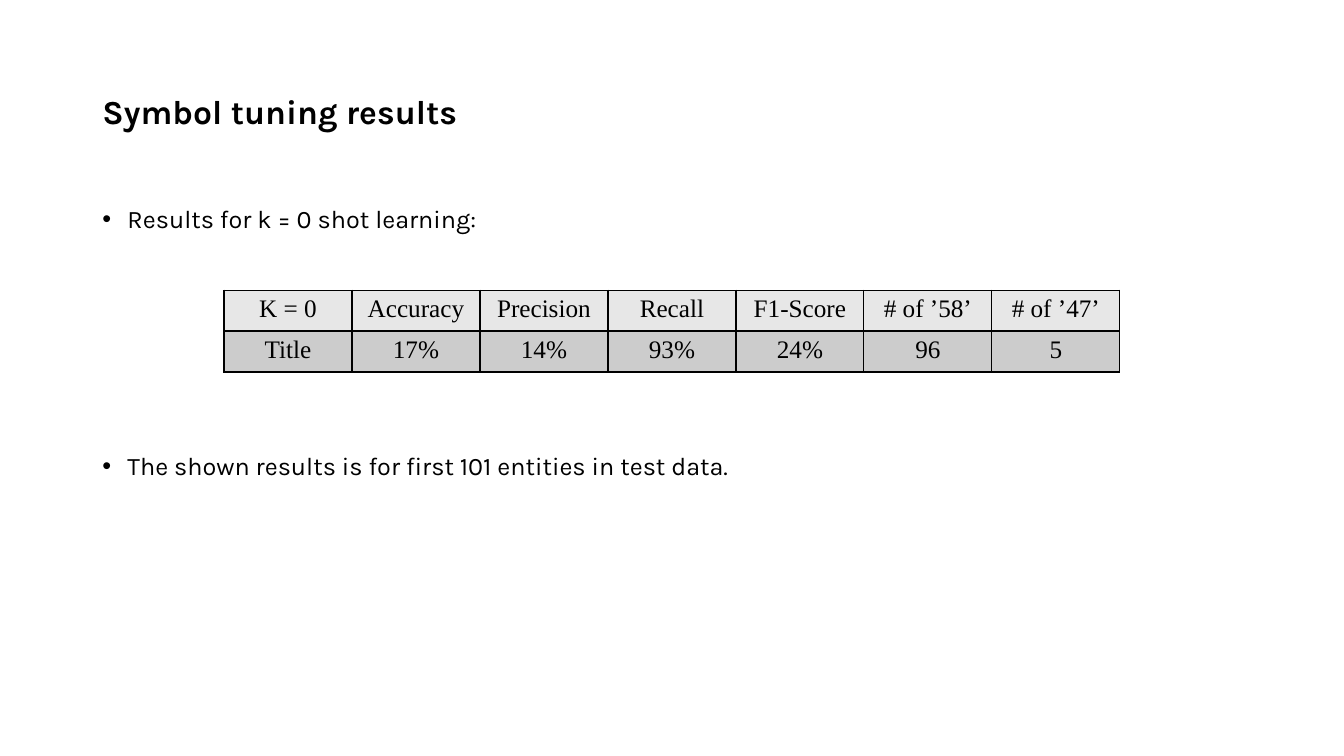
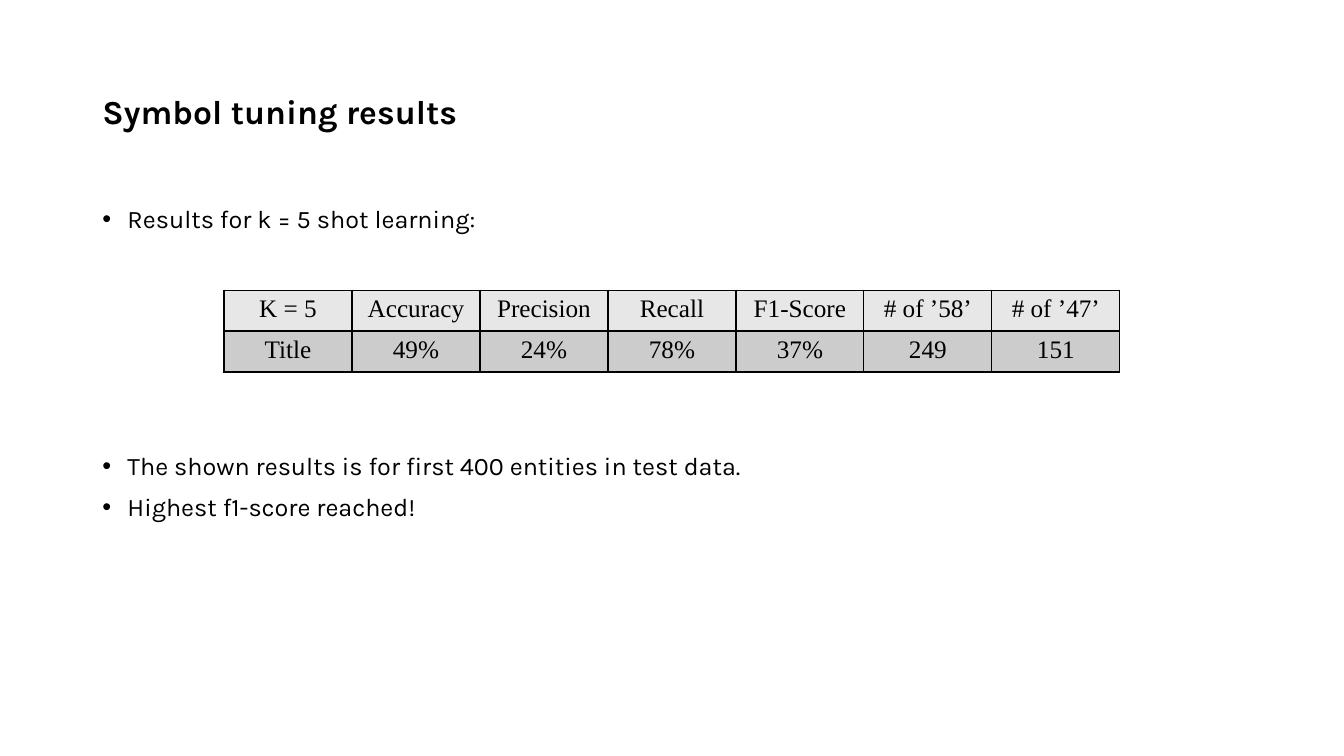
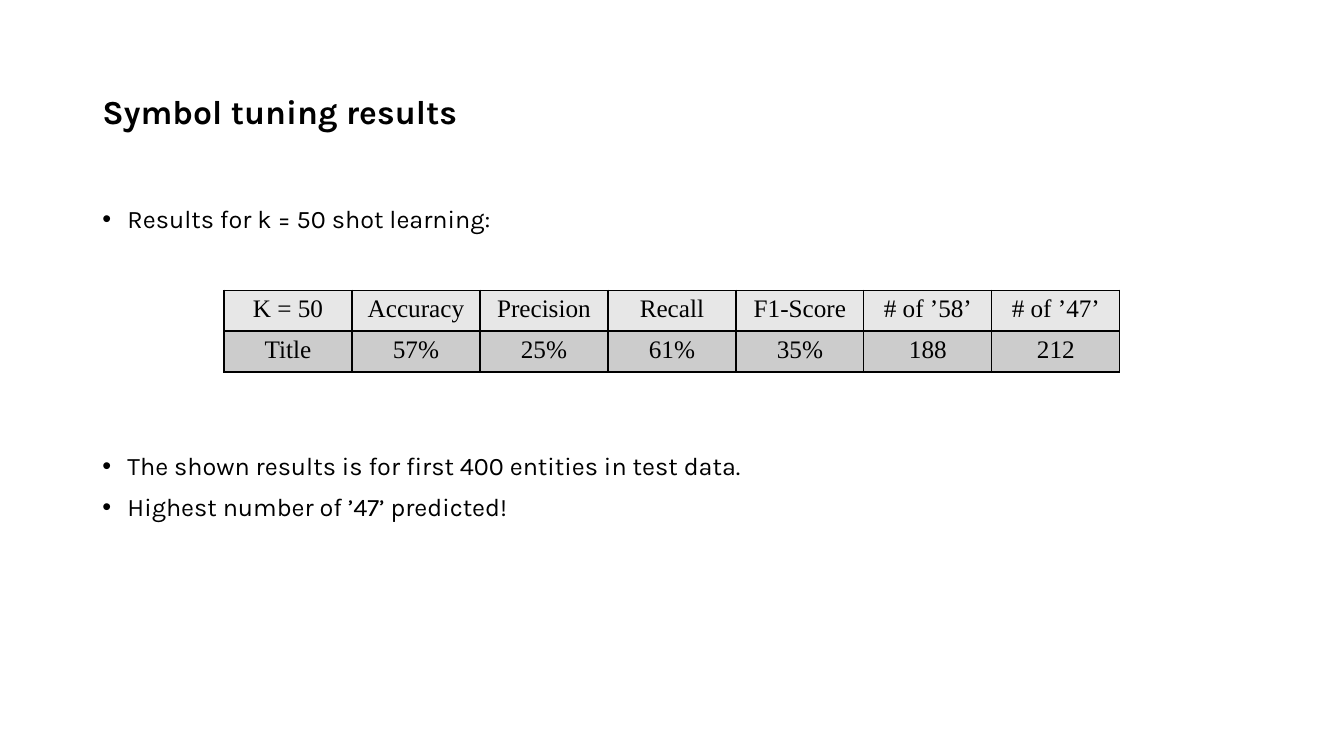
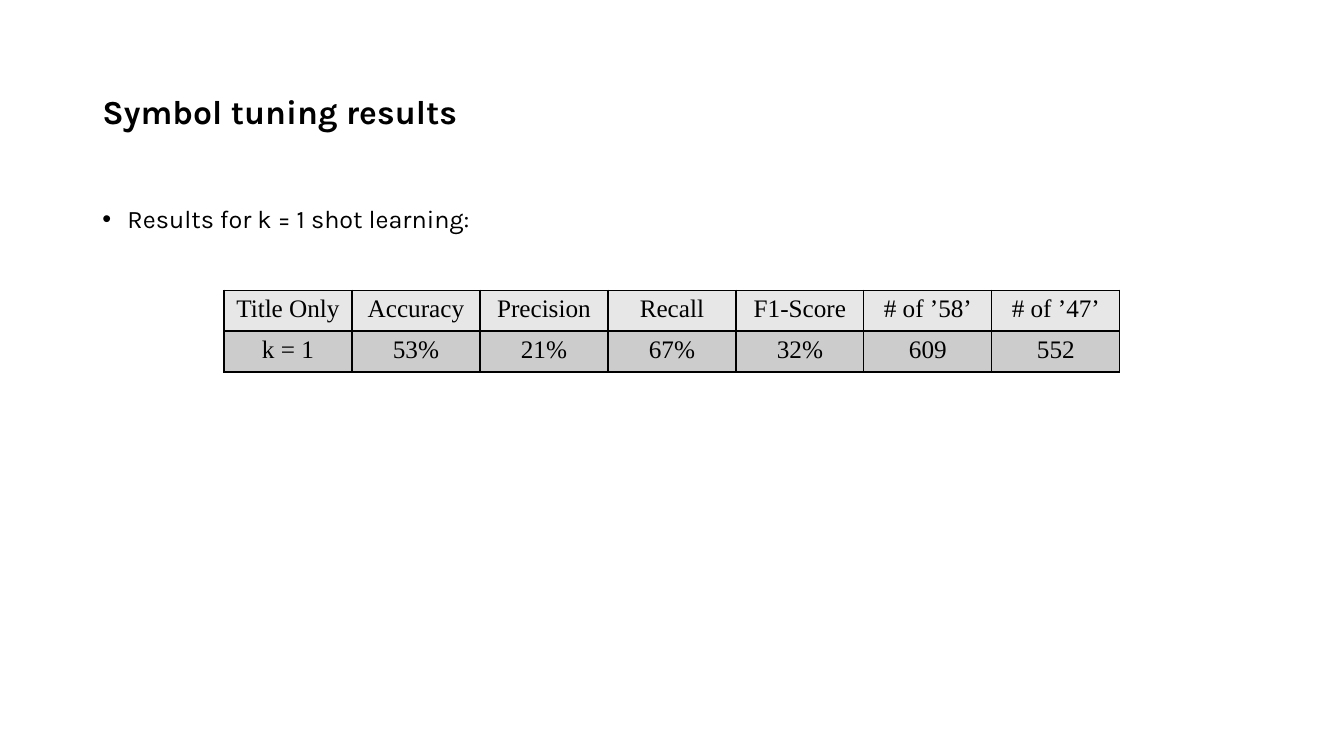
from lxml.etree import SubElement
from pptx import Presentation
from pptx.dml.color import RGBColor
from pptx.enum.text import MSO_ANCHOR, PP_ALIGN
from pptx.oxml import parse_xml
from pptx.oxml.ns import nsdecls, qn
from pptx.util import Pt

# Shared style
BLACK, HEADER_FILL, VALUE_FILL = "000000", "E7E7E7", "CCCCCC"
TITLE_FONT = {"name": "Karla", "size": Pt(24), "bold": True}
BODY_FONT = {"name": "Karla", "size": Pt(18)}
TABLE_FONT = {"name": "Times New Roman", "size": Pt(18)}
TITLE_SPACING = {"line_spacing": 0.9}
BULLET_SPACING = {"line_spacing": 0.9, "space_before": Pt(10)}
BELOW_TABLE_SPACING = {"line_spacing": 0.9, "space_before": Pt(157)}

LEFT, CONTENT_WIDTH = 66, 828
TABLE_LEFT, TABLE_TOP, TABLE_WIDTH, ROW_HEIGHT = 160, 207.3, 640, 29.2
BULLET_INDENT = 18

# Content: shot count, table corner, row label, values, remarks
METRICS = ["Accuracy", "Precision", "Recall", "F1-Score", "# of ’58’", "# of ’47’"]
RESULTS = [
    (0, "K = 0", "Title", ["17%", "14%", "93%", "24%", "96", "5"],
     ["The shown results is for first 101 entities in test data."]),
    (5, "K = 5", "Title", ["49%", "24%", "78%", "37%", "249", "151"],
     ["The shown results is for first 400 entities in test data.",
      "Highest f1-score reached!"]),
    (50, "K = 50", "Title", ["57%", "25%", "61%", "35%", "188", "212"],
     ["The shown results is for first 400 entities in test data.",
      "Highest number of ’47’ predicted!"]),
    (1, "Title Only", "k = 1", ["53%", "21%", "67%", "32%", "609", "552"], []),
]


def color(hex_value):
    return RGBColor.from_string(hex_value)


def apply_format(target, values):
    for attribute, value in values.items():
        setattr(target, attribute, value)


def write(paragraph, text, font, spacing):
    run = paragraph.add_run()
    run.text = text
    apply_format(run.font, font)
    run.font.color.rgb = color(BLACK)
    apply_format(paragraph, spacing)


def add_text_frame(slide, top, height, anchor):
    box = slide.shapes.add_textbox(Pt(LEFT), Pt(top), Pt(CONTENT_WIDTH), Pt(height))
    frame = box.text_frame
    apply_format(frame, {"word_wrap": True, "vertical_anchor": anchor})
    return frame


def add_title(slide, text):
    frame = add_text_frame(slide, 28.8, 104.4, MSO_ANCHOR.MIDDLE)
    write(frame.paragraphs[0], text, TITLE_FONT, TITLE_SPACING)


def set_bullet(paragraph):
    properties = paragraph._p.get_or_add_pPr()
    properties.set("marL", str(Pt(BULLET_INDENT)))
    properties.set("indent", str(-Pt(BULLET_INDENT)))
    SubElement(properties, qn("a:buFont"), typeface="Arial")
    SubElement(properties, qn("a:buChar"), char="•")


def add_bullets(slide, intro, remarks):
    frame = add_text_frame(slide, 144, 342.6, MSO_ANCHOR.TOP)
    for index, text in enumerate([intro, *remarks]):
        paragraph = frame.add_paragraph() if index else frame.paragraphs[0]
        # The first remark clears the table
        spacing = BELOW_TABLE_SPACING if index == 1 else BULLET_SPACING
        write(paragraph, text, BODY_FONT, spacing)
        set_bullet(paragraph)


def set_borders(cell):
    properties = cell._tc.get_or_add_tcPr()
    for position, side in enumerate(("lnL", "lnR", "lnT", "lnB")):
        border = parse_xml(
            f'<a:{side} {nsdecls("a")} w="{Pt(1)}"><a:solidFill>'
            f'<a:srgbClr val="{BLACK}"/></a:solidFill></a:{side}>')
        properties.insert(position, border)


def add_results_table(slide, rows):
    table = slide.shapes.add_table(
        len(rows), len(rows[0]), Pt(TABLE_LEFT), Pt(TABLE_TOP),
        Pt(TABLE_WIDTH), Pt(ROW_HEIGHT * len(rows))).table
    apply_format(table, {"first_row": False, "horz_banding": False})
    for row_index, (row, fill) in enumerate(zip(rows, (HEADER_FILL, VALUE_FILL))):
        for column_index, text in enumerate(row):
            cell = table.cell(row_index, column_index)
            cell.fill.solid()
            cell.fill.fore_color.rgb = color(fill)
            set_borders(cell)
            write(cell.text_frame.paragraphs[0], text, TABLE_FONT,
                  {"alignment": PP_ALIGN.CENTER})


def main():
    deck = Presentation()
    apply_format(deck, {"slide_width": Pt(960), "slide_height": Pt(540)})
    for shots, corner, label, values, remarks in RESULTS:
        slide = deck.slides.add_slide(deck.slide_layouts[6])
        add_title(slide, "Symbol tuning results")
        add_bullets(slide, f"Results for k = {shots} shot learning:", remarks)
        add_results_table(slide, [[corner, *METRICS], [label, *values]])
    deck.save("out.pptx")


if __name__ == "__main__":
    main()
